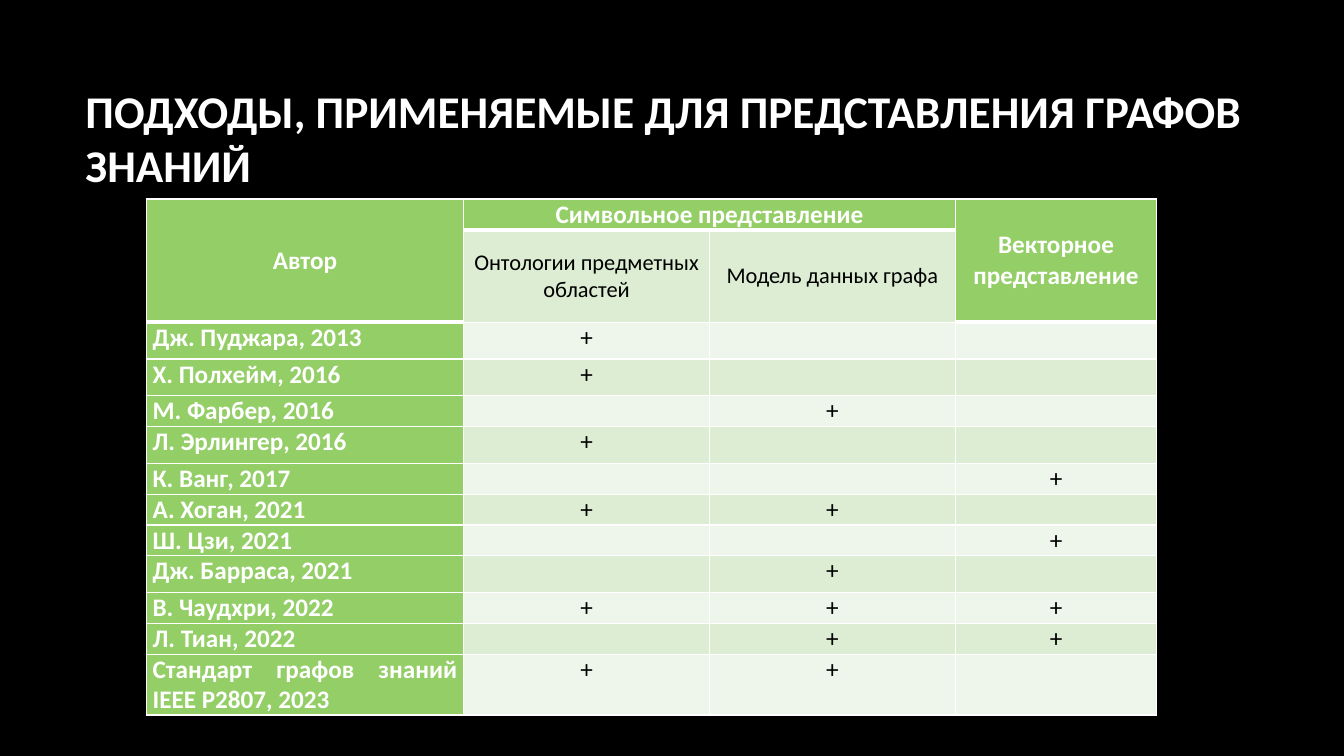
from lxml import etree
from pptx import Presentation
from pptx.dml.color import RGBColor
from pptx.enum.text import MSO_ANCHOR, PP_ALIGN
from pptx.oxml.ns import qn
from pptx.util import Pt

MIDDLE, TOP = MSO_ANCHOR.MIDDLE, MSO_ANCHOR.TOP
LEFT, CENTER, JUSTIFY = PP_ALIGN.LEFT, PP_ALIGN.CENTER, PP_ALIGN.JUSTIFY

# Content
TITLE = "ПОДХОДЫ, ПРИМЕНЯЕМЫЕ ДЛЯ ПРЕДСТАВЛЕНИЯ ГРАФОВ ЗНАНИЙ"
HEADERS = [
    ["Автор", "Символьное представление", "", "Векторное представление"],
    ["", "Онтологии предметных областей", "Модель данных графа", ""],
]
MERGES = [((0, 0), (1, 0)), ((0, 1), (0, 2)), ((0, 3), (1, 3))]
AUTHORS = [  # author, ontologies, graph data model, vectors, row height
    ("Дж. Пуджара, 2013", "+", "", "", 26.3),
    ("Х. Полхейм, 2016", "+", "", "", 26.3),
    ("М. Фарбер, 2016", "", "+", "", 22),
    ("Л. Эрлингер, 2016", "+", "", "", 26.3),
    ("К. Ванг, 2017", "", "", "+", 22),
    ("A. Хоган, 2021", "+", "+", "", 22),
    ("Ш. Цзи, 2021", "", "", "+", 22),
    ("Дж. Барраса, 2021", "", "+", "", 26.3),
    ("В. Чаудхри, 2022", "+", "+", "+", 22),
    ("Л. Тиан, 2022", "", "+", "+", 22),
    ("Стандарт графов знаний IEEE P2807, 2023", "+", "+", "", 43.4),
]

# Theme and geometry
THEME = dict(font="Calibri", bg="000000", light="FFFFFF", dark="000000",
             green="94CE67", bands=("EEF6EB", "DCEDD3"),
             title=32.4, body=18, sub=16, thin=1, thick=3)
SLIDE = (960, 540)
TITLE_BOX = (54, 60.5, 880.5, 75.6)
TABLE_AT = (104.5, 142.2)
COLS = [226.7, 175.6, 175.6, 144]
HEAD_HEIGHTS = [22, 66]


def write(tf, text, size, color, bold, align):
    p = tf.paragraphs[0]
    p.alignment = align
    p.font.size = Pt(size)
    if not text:
        return
    r = p.add_run()
    r.text = text
    style = dict(name=THEME["font"], size=Pt(size), bold=bold)
    for key, value in style.items():
        setattr(r.font, key, value)
    r.font.color.rgb = RGBColor.from_string(color)


def border(cell, widths):
    tc_pr = cell._tc.get_or_add_tcPr()
    for i, (side, width) in enumerate(zip("LRTB", widths)):
        ln = etree.Element(qn(f"a:ln{side}"), w=str(Pt(width)))
        fill = etree.SubElement(ln, qn("a:solidFill"))
        etree.SubElement(fill, qn("a:srgbClr"), val=THEME["light"])
        tc_pr.insert(i, ln)


def edge(line, col):
    """Width of the horizontal rule above row number `line`."""
    heavy = line == 1 and col in (1, 2) or line == 2 and col in (0, 3)
    return THEME["thick" if heavy else "thin"]


# Slide
prs = Presentation()
prs.slide_width, prs.slide_height = map(Pt, SLIDE)
s = prs.slides.add_slide(prs.slide_layouts[6])
s.background.fill.solid()
s.background.fill.fore_color.rgb = RGBColor.from_string(THEME["bg"])

# Title
tf = s.shapes.add_textbox(*map(Pt, TITLE_BOX)).text_frame
tf.word_wrap = True
tf.vertical_anchor = MIDDLE
write(tf, TITLE, THEME["title"], THEME["light"], True, LEFT)

# Table
rows = HEADERS + [list(author[:4]) for author in AUTHORS]
heights = HEAD_HEIGHTS + [author[4] for author in AUTHORS]
table = s.shapes.add_table(len(rows), len(COLS), *map(Pt, TABLE_AT),
                           Pt(sum(COLS)), Pt(sum(heights))).table
for column, width in zip(table.columns, COLS):
    column.width = Pt(width)
for row, height in zip(table.rows, heights):
    row.height = Pt(height)
for first, last in MERGES:
    table.cell(*first).merge(table.cell(*last))

# Cells
cell_format = dict(margin_left=Pt(4.5), margin_right=Pt(4.5),
                   margin_top=0, margin_bottom=0)
for i, row in enumerate(rows):
    for j, text in enumerate(row):
        cell = table.cell(i, j)
        in_head = i < len(HEADERS)
        strong = i == 0 or j == 0 or in_head and j == 3
        for key, value in cell_format.items():
            setattr(cell, key, value)
        cell.vertical_anchor = MIDDLE if in_head else TOP
        cell.fill.solid()
        cell.fill.fore_color.rgb = RGBColor.from_string(
            THEME["green"] if strong else THEME["bands"][i % 2])
        border(cell, (THEME["thin"], THEME["thin"], edge(i, j), edge(i + 1, j)))
        write(cell.text_frame, text,
              THEME["sub"] if i == 1 else THEME["body"],
              THEME["light"] if strong else THEME["dark"], strong,
              JUSTIFY if j == 0 and not in_head else CENTER)

prs.save("out.pptx")
